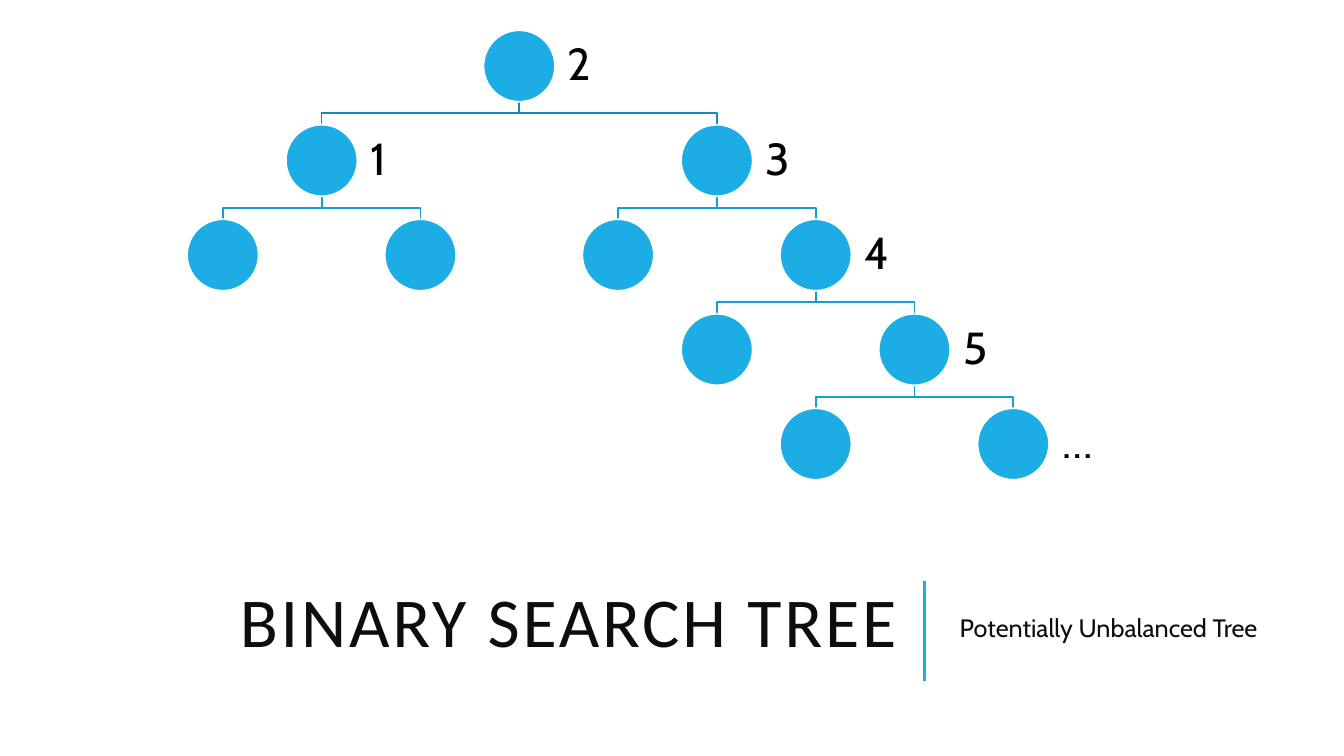
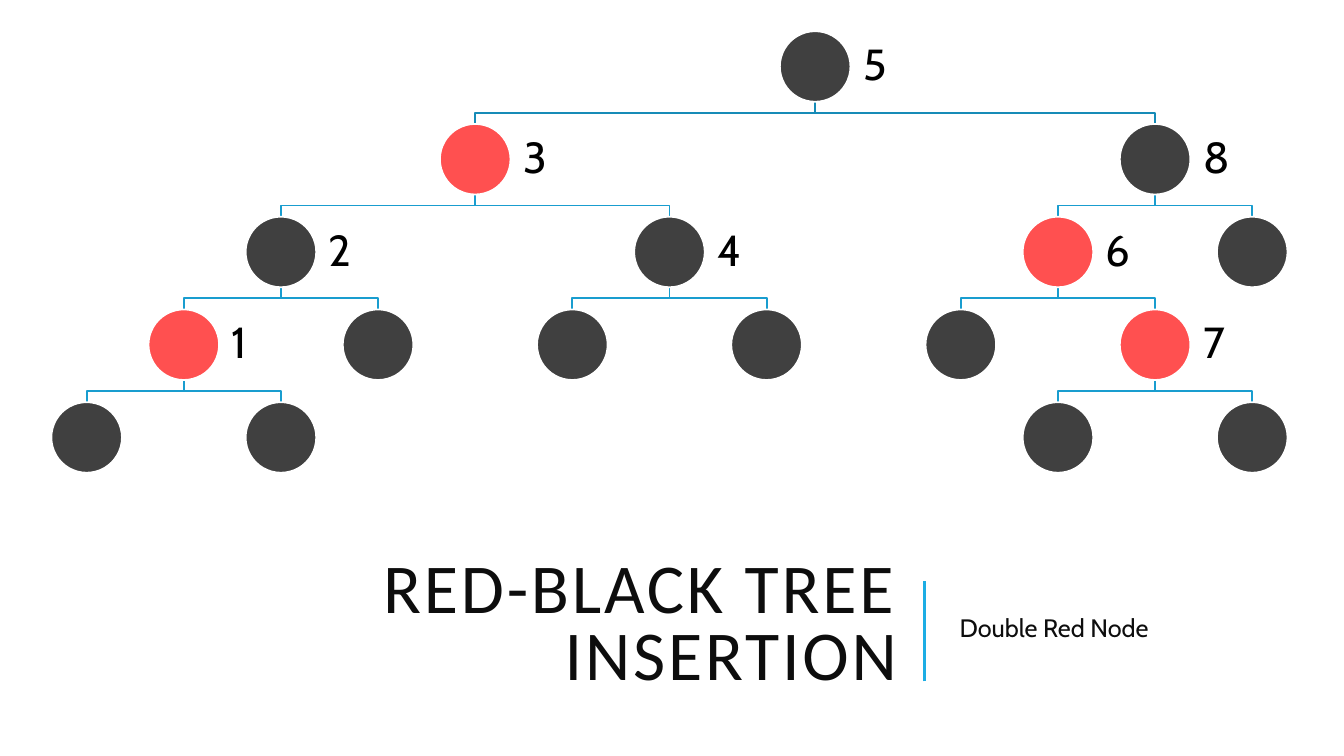
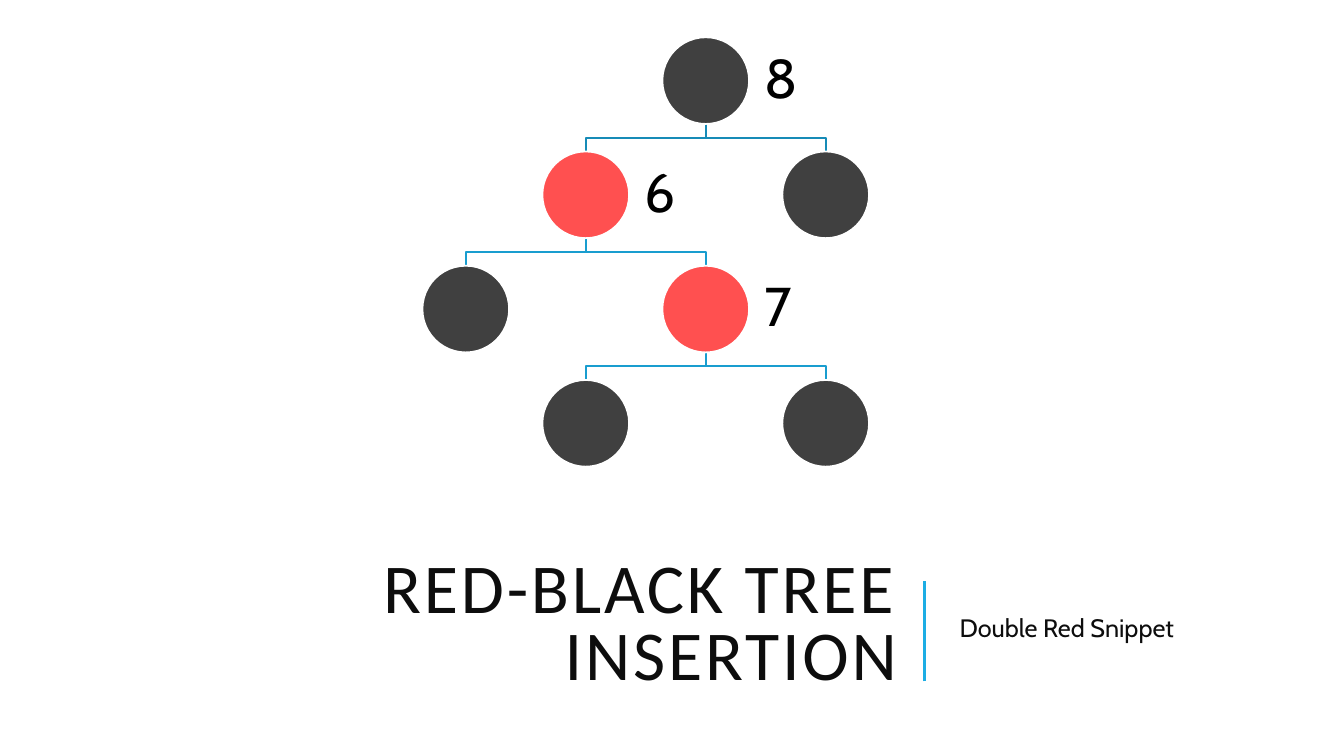
from typing import NamedTuple

from lxml.etree import SubElement
from pptx import Presentation
from pptx.dml.color import RGBColor
from pptx.enum.shapes import MSO_CONNECTOR, MSO_SHAPE
from pptx.enum.text import MSO_ANCHOR, MSO_AUTO_SIZE, PP_ALIGN
from pptx.oxml.ns import qn
from pptx.util import Inches, Pt

BLUE, BLACK_NODE, RED_NODE = "1CADE4", "404040", "FF5050"
ROOT_BRANCH, LOWER_BRANCH = "168BB7", "199DCF"
INK, LABEL_INK, WHITE = "0D0D0D", "000000", "FFFFFF"
HEADING_FONT, BODY_FONT = "Calibri", "Cabin"

TITLE_BOX = (0.5, 5.42, 8.5, 1.6)
SUBTITLE_BOX = (9.42, 5.42, 3.5, 1.6)
DIVIDER_X, DIVIDER_TOP, DIVIDER_BOTTOM = 9.17, 5.76, 6.76


class Node(NamedTuple):
    column: float
    label: str = ""
    children: tuple = ()
    color: str = BLACK_NODE


class Frame(NamedTuple):
    """Centres of the outer columns, tops of the outer rows, node and label size."""
    first_x: float
    last_x: float
    first_top: float
    last_top: float
    diameter: float
    label_size: int


def blue(column, label="", *children):
    return Node(column, label, children, BLUE)


def black(column, label="", *children):
    return Node(column, label, children)


def red(column, label, *children):
    return Node(column, label, children, RED_NODE)


SEARCH_TREE = blue(
    3, "2",
    blue(1, "1", blue(0), blue(2)),
    blue(5, "3",
         blue(4),
         blue(6, "4",
              blue(5),
              blue(7, "5", blue(6), blue(8, "…")))))

RED_BLACK_TREE = black(
    7.5, "5",
    red(4, "3",
        black(2, "2", red(1, "1", black(0), black(2)), black(3)),
        black(6, "4", black(5), black(7))),
    black(11, "8",
          red(10, "6", black(9), red(11, "7", black(10), black(12))),
          black(12)))

SNIPPET = black(
    2, "8",
    red(1, "6", black(0), red(2, "7", black(1), black(3))),
    black(3))

SLIDES = [
    ("BINARY SEARCH TREE", "Potentially Unbalanced Tree", SEARCH_TREE,
     Frame(2.21, 10.05, 0.3, 4.05, 0.71, 32)),
    ("RED-BLACK TREE INSERTION", "Double Red Node", RED_BLACK_TREE,
     Frame(0.86, 12.42, 0.31, 3.99, 0.7, 31)),
    ("RED-BLACK TREE INSERTION", "Double Red Snippet", SNIPPET,
     Frame(4.62, 8.19, 0.37, 3.77, 0.86, 39)),
]


def rgb(color):
    return RGBColor.from_string(color)


def set_line(shape, color, width):
    shape.line.color.rgb = rgb(color)
    shape.line.width = Pt(width)


def write(shape, text, font, size, color):
    """Fill a shape with one vertically centred paragraph and return it."""
    frame = shape.text_frame
    frame.text = text
    frame.word_wrap = True
    frame.auto_size = MSO_AUTO_SIZE.NONE
    frame.vertical_anchor = MSO_ANCHOR.MIDDLE
    paragraph = frame.paragraphs[0]
    style = paragraph.runs[0].font
    style.name, style.size, style.color.rgb = font, Pt(size), rgb(color)
    return paragraph


def add_caption(slide, title, subtitle):
    heading = slide.shapes.title
    heading.left, heading.top, heading.width, heading.height = map(Inches, TITLE_BOX)
    paragraph = write(heading, title, HEADING_FONT, 50, INK)
    paragraph.alignment = PP_ALIGN.RIGHT
    paragraph.line_spacing = 0.8
    paragraph.runs[0].font._element.set("spc", "200")

    divider = slide.shapes.add_connector(
        MSO_CONNECTOR.STRAIGHT, Inches(DIVIDER_X), Inches(DIVIDER_BOTTOM),
        Inches(DIVIDER_X), Inches(DIVIDER_TOP))
    set_line(divider, BLUE, 1.5)
    SubElement(divider._element.spPr, qn("a:effectLst"))

    note = slide.shapes.add_textbox(*map(Inches, SUBTITLE_BOX))
    write(note, subtitle, BODY_FONT, 18, INK).space_after = Pt(2)


def walk(node, level=0):
    """Yield every node of the tree with its level."""
    yield node, level
    for child in node.children:
        yield from walk(child, level + 1)


def add_branch(slide, start, end, color):
    (x1, y1), (x2, y2) = start, end
    bend = (y1 + y2) / 2
    corners = [(x1, bend), (x2, bend), (x2, y2)]
    builder = slide.shapes.build_freeform(Inches(x1), Inches(y1))
    builder.add_line_segments(
        [(Inches(x), Inches(y)) for x, y in corners], close=False)
    branch = builder.convert_to_shape()
    branch.shadow.inherit = False
    branch.fill.background()
    set_line(branch, color, 1.25)


def add_node(slide, node, x, top, diameter, label_size):
    left = x - diameter / 2
    circle = slide.shapes.add_shape(
        MSO_SHAPE.OVAL, *map(Inches, (left, top, diameter, diameter)))
    circle.shadow.inherit = False
    circle.fill.solid()
    circle.fill.fore_color.rgb = rgb(node.color)
    set_line(circle, WHITE, 1.25)
    if node.label:
        label = slide.shapes.add_textbox(
            *map(Inches, (left + diameter, top, 1.5 * diameter, diameter)))
        write(label, node.label, BODY_FONT, label_size, LABEL_INK).line_spacing = 0.9
        frame = label.text_frame
        frame.margin_left = frame.margin_right = Inches(0.18 * diameter)
        frame.margin_top = frame.margin_bottom = Inches(0.18 * diameter)


def add_tree(slide, root, frame):
    nodes = list(walk(root))
    column_step = (frame.last_x - frame.first_x) / max(n.column for n, _ in nodes)
    row_step = (frame.last_top - frame.first_top) / max(level for _, level in nodes)

    def place(node, level):
        return (frame.first_x + node.column * column_step,
                frame.first_top + level * row_step)

    for node, level in nodes:
        x, top = place(node, level)
        for child in node.children:
            add_branch(slide, (x, top + frame.diameter), place(child, level + 1),
                       LOWER_BRANCH if level else ROOT_BRANCH)
    for node, level in nodes:
        add_node(slide, node, *place(node, level), frame.diameter, frame.label_size)


def main():
    deck = Presentation()
    deck.slide_width, deck.slide_height = Inches(13.33), Inches(7.5)
    title_only = deck.slide_layouts[5]
    for title, subtitle, tree, frame in SLIDES:
        slide = deck.slides.add_slide(title_only)
        add_caption(slide, title, subtitle)
        add_tree(slide, tree, frame)
    deck.save("out.pptx")


if __name__ == "__main__":
    main()
